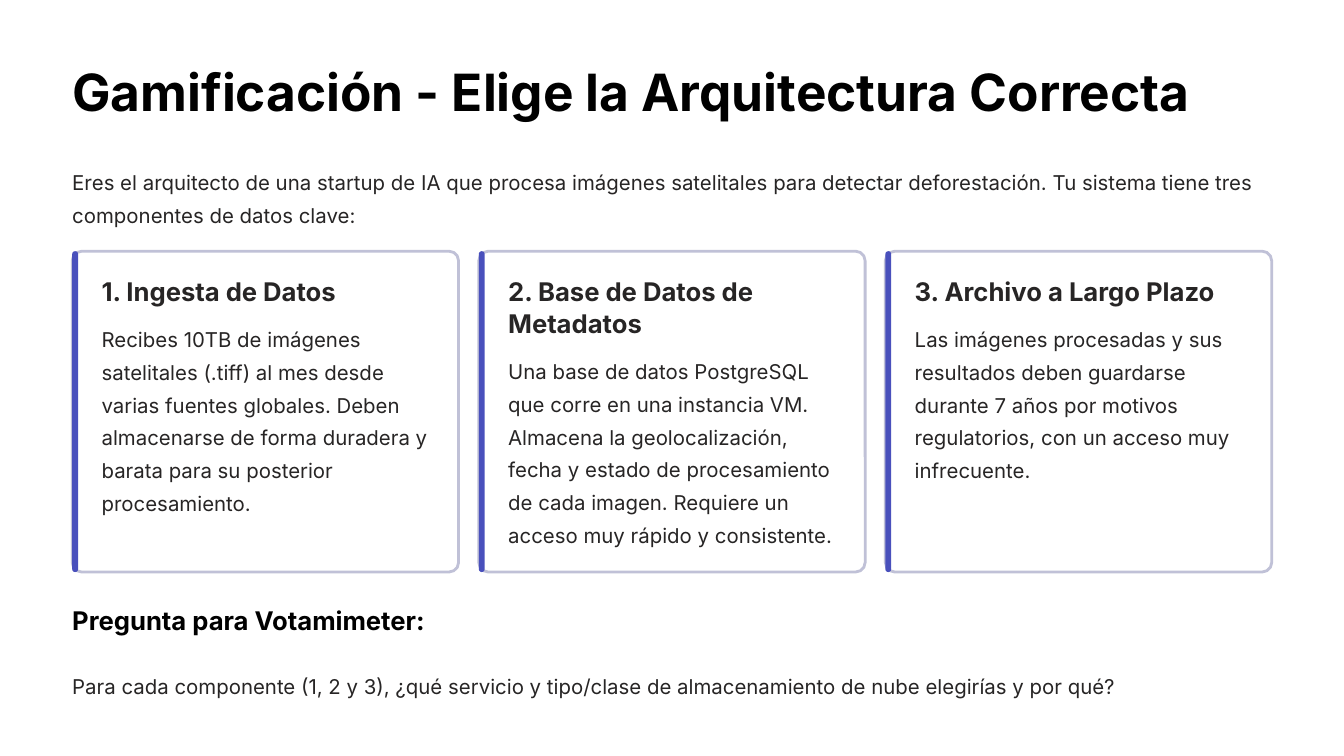
from dataclasses import dataclass

from pptx import Presentation, util as u
from pptx.dml.color import RGBColor
from pptx.enum import shapes, text

PX = 9144  # 100 px to the inch
FONT = "Inter"
BLACK, INK, WHITE, EDGE, BLUE = "000000", "272525", "FFFFFF", "C0C1D7", "4950BC"
LEFT, WIDE = 86, 1428
TOP, CARD_W, CARD_H, STEP = 299, 460, 382, 484
INSET, TEXT_W = 35, 397
HEAD_H, LINE_H = 38, 39


@dataclass
class Style:
    size: float
    lead: float
    color: str
    bold: bool = False


@dataclass
class Card:
    head: str
    rows: int
    body: str
    lines: int


TITLE = Style(44, 55, BLACK, True)
QUERY = Style(22, 27.5, BLACK, True)
HEAD = Style(22, 27.5, INK, True)
BODY = Style(17.5, 28, INK)

CARDS = [
    Card("1. Ingesta de Datos", 1,
         "Recibes 10TB de imágenes satelitales (.tiff) al mes desde varias fuentes "
         "globales. Deben almacenarse de forma duradera y barata para su posterior "
         "procesamiento.", 6),
    Card("2. Base de Datos de Metadatos", 2,
         "Una base de datos PostgreSQL que corre en una instancia VM. Almacena la "
         "geolocalización, fecha y estado de procesamiento de cada imagen. Requiere "
         "un acceso muy rápido y consistente.", 6),
    Card("3. Archivo a Largo Plazo", 1,
         "Las imágenes procesadas y sus resultados deben guardarse durante 7 años por "
         "motivos regulatorios, con un acceso muy infrecuente.", 5),
]


def paint(code: str) -> RGBColor:
    return RGBColor.from_string(code)


def place(shape, x: int, y: int, w: int, h: int) -> None:
    shape.left, shape.top, shape.width, shape.height = (n * PX for n in (x, y, w, h))


def write(shape, words: str, style: Style) -> None:
    frame = shape.text_frame
    frame.text = words
    frame.word_wrap = True
    frame.auto_size = text.MSO_AUTO_SIZE.NONE
    frame.vertical_anchor = text.MSO_ANCHOR.TOP
    frame.margin_left = frame.margin_right = 0
    frame.margin_top = frame.margin_bottom = 0
    para = frame.paragraphs[0]
    para.alignment = text.PP_ALIGN.LEFT
    para.line_spacing = u.Pt(style.lead)
    font = para.runs[0].font
    font.name, font.size, font.bold = FONT, u.Pt(style.size), style.bold
    font.color.rgb = paint(style.color)


def label(slide, x: int, y: int, w: int, h: int, words: str, style: Style) -> None:
    box = slide.shapes.add_textbox(0, 0, 0, 0)
    place(box, x, y, w, h)
    write(box, words, style)


def panel(slide, x: int, w: int, bend: float, fill: str, edge: str = "") -> None:
    """Draw a rounded block as tall as a card."""
    shape = slide.shapes.add_shape(shapes.MSO_SHAPE.ROUNDED_RECTANGLE, 0, 0, 0, 0)
    place(shape, x, TOP, w, CARD_H)
    shape.adjustments[0] = bend
    shape.shadow.inherit = False
    shape.fill.solid()
    shape.fill.fore_color.rgb = paint(fill)
    if edge:
        shape.line.color.rgb = paint(edge)
        shape.line.width = u.Pt(2.4)
    else:
        shape.line.fill.background()


def draw(slide, card: Card, x: int) -> None:
    panel(slide, x, CARD_W, 0.03, WHITE, EDGE)
    panel(slide, x, 7, 0.5, BLUE)
    y, high = TOP + 28, card.rows * HEAD_H
    label(slide, x + INSET, y, TEXT_W, high, card.head, HEAD)
    label(slide, x + INSET, y + high + 15, TEXT_W, card.lines * LINE_H, card.body, BODY)


def main() -> None:
    deck = Presentation()
    deck.slide_width, deck.slide_height = 1600 * PX, 900 * PX
    slide = deck.slides.add_slide(deck.slide_layouts[5])
    title = slide.shapes.title
    place(title, LEFT, 68, WIDE, 77)
    write(title, "Gamificación - Elige la Arquitectura Correcta", TITLE)
    label(slide, LEFT, 193, WIDE, 2 * LINE_H,
          "Eres el arquitecto de una startup de IA que procesa imágenes satelitales para "
          "detectar deforestación. Tu sistema tiene tres componentes de datos clave:", BODY)
    for i, card in enumerate(CARDS):
        draw(slide, card, LEFT + i * STEP)
    label(slide, LEFT, 718, WIDE, HEAD_H, "Pregunta para Votamimeter:", QUERY)
    label(slide, LEFT, 793, WIDE, LINE_H,
          "Para cada componente (1, 2 y 3), ¿qué servicio y tipo/clase de almacenamiento "
          "de nube elegirías y por qué?", BODY)
    deck.save("out.pptx")


if __name__ == "__main__":
    main()
